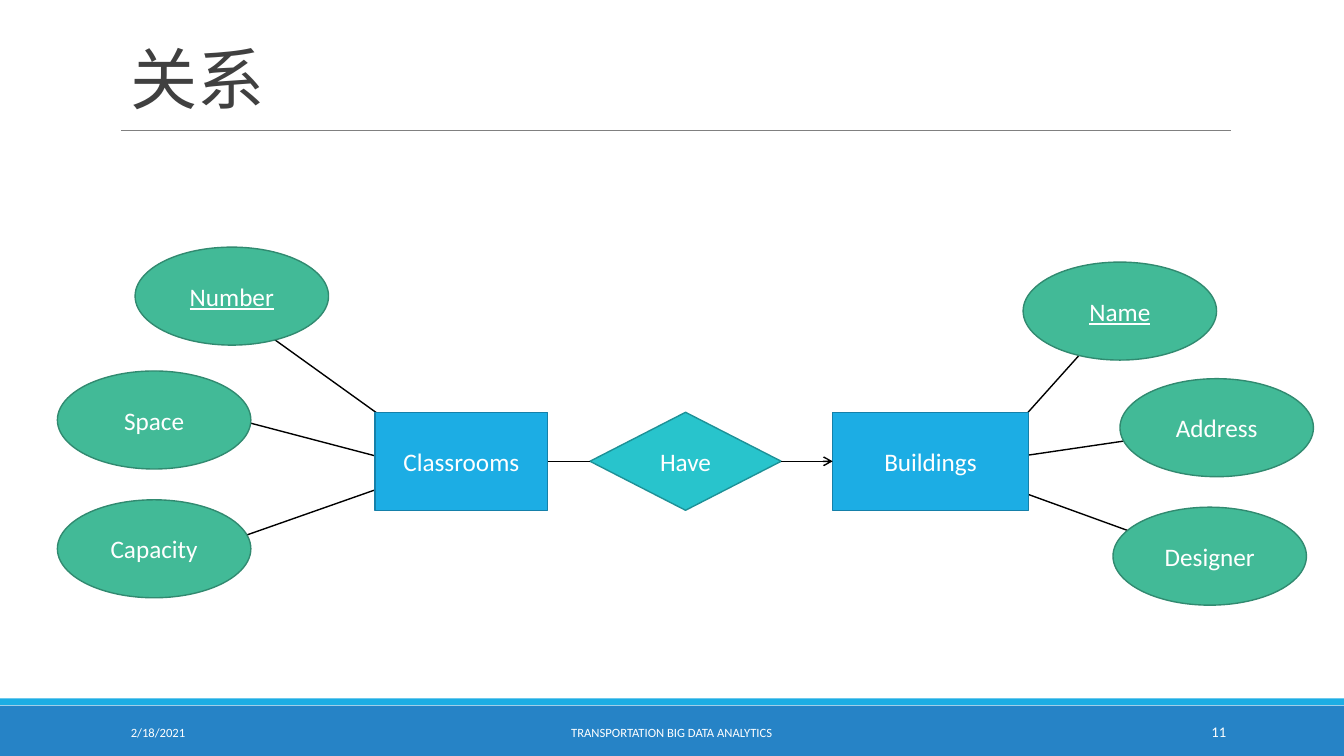
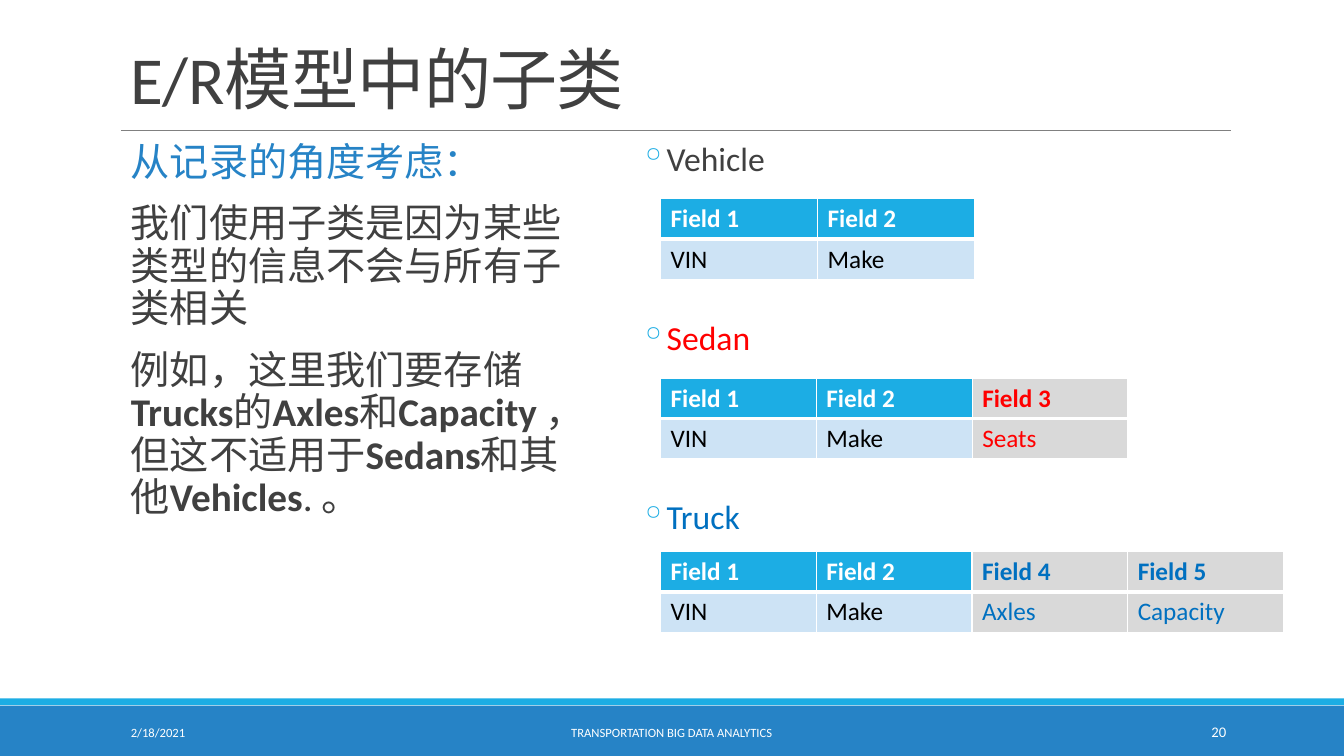
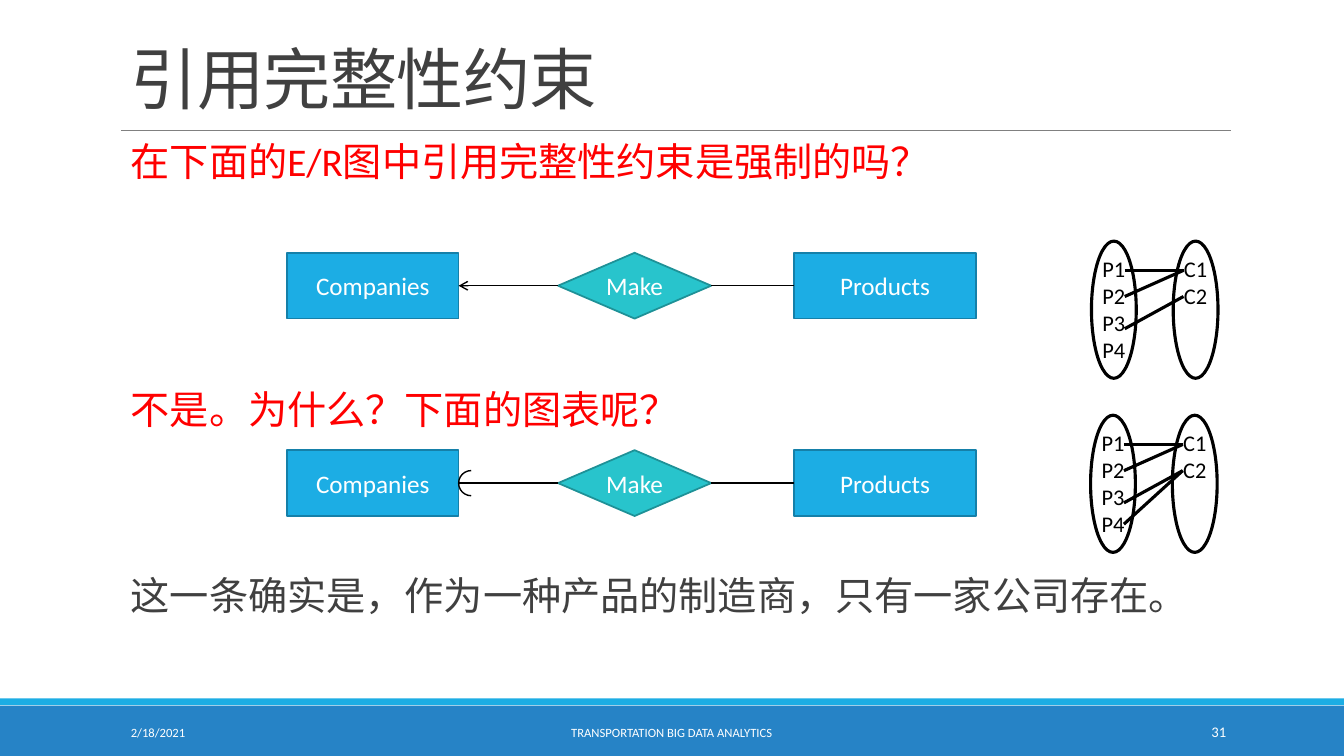
"""Build three lecture slides on entity-relationship modelling."""
from dataclasses import dataclass

from lxml.etree import SubElement
from pptx import Presentation
from pptx.dml.color import RGBColor
from pptx.enum.lang import MSO_LANGUAGE_ID
from pptx.enum.shapes import MSO_CONNECTOR, MSO_SHAPE
from pptx.enum.text import MSO_ANCHOR, PP_ALIGN
from pptx.oxml.ns import qn
from pptx.shapes.autoshape import Shape
from pptx.shapes.connector import Connector
from pptx.slide import Slide
from pptx.table import _Cell as Cell
from pptx.text.text import TextFrame, _Paragraph as Paragraph
from pptx.util import Pt

FONT = "Calibri"
WHITE = RGBColor(0xFF, 0xFF, 0xFF)
BLACK = RGBColor(0x00, 0x00, 0x00)
INK = RGBColor(0x40, 0x40, 0x40)
RULE_GREY = RGBColor(0x80, 0x80, 0x80)
BAND_BLUE = RGBColor(0x26, 0x83, 0xC6)
SKY = RGBColor(0x1C, 0xAD, 0xE4)
SKY_EDGE = RGBColor(0x15, 0x80, 0xA9)
TEAL = RGBColor(0x28, 0xC4, 0xCC)
TEAL_EDGE = RGBColor(0x1E, 0x91, 0x97)
GREEN = RGBColor(0x42, 0xBA, 0x97)
GREEN_EDGE = RGBColor(0x31, 0x8A, 0x70)
RED = RGBColor(0xFF, 0x00, 0x00)
BLUE = RGBColor(0x00, 0x70, 0xC0)
CELL_BLUE = RGBColor(0xCD, 0xE3, 0xF5)
CELL_GREY = RGBColor(0xD9, 0xD9, 0xD9)

LEFT_SIDE, RIGHT_SIDE = 1, 3
Point = tuple[float, float]


@dataclass(frozen=True)
class Area:
    """Hold a rectangle in points."""
    left: float
    top: float
    width: float
    height: float

    def lengths(self) -> tuple[Pt, Pt, Pt, Pt]:
        """Return the four lengths in slide units."""
        return Pt(self.left), Pt(self.top), Pt(self.width), Pt(self.height)


@dataclass(frozen=True)
class Span:
    """Hold one run of text and its look."""
    text: str
    size: float
    color: RGBColor
    bold: bool = False
    underline: bool = False


@dataclass(frozen=True)
class Look:
    """Hold the outline and colours of a diagram node."""
    preset: MSO_SHAPE
    fill: RGBColor
    edge: RGBColor


@dataclass(frozen=True)
class Attribute:
    """Hold an attribute oval and the line to its entity."""
    label: str
    left: float
    top: float
    start: Point
    end: Point
    key: bool = False


@dataclass(frozen=True)
class Record:
    """Hold a vehicle class and its table of fields."""
    name: str
    top: float
    width: float
    fields: tuple[tuple[str, str], ...]
    accent: RGBColor


ENTITY = Look(MSO_SHAPE.RECTANGLE, SKY, SKY_EDGE)
RELATION = Look(MSO_SHAPE.DIAMOND, TEAL, TEAL_EDGE)
DECISION = Look(MSO_SHAPE.FLOWCHART_DECISION, TEAL, TEAL_EDGE)
OVAL = Look(MSO_SHAPE.OVAL, GREEN, GREEN_EDGE)

ATTRIBUTES = (
    Attribute("Number", 96.5, 176.5, (174.2, 226.8), (294.5, 313.2), key=True),
    Attribute("Space", 41, 265, (174.2, 301), (286.6, 330.5)),
    Attribute("Capacity", 41, 357, (136.8, 396), (294.5, 340.6)),
    Attribute("Name", 730.8, 187.2, (789.8, 232.6), (709.9, 321.8), key=True),
    Attribute("Address", 800, 270.5, (844.6, 308.9), (712.8, 328.3)),
    Attribute("Designer", 795, 362.3, (836, 390), (705.6, 342.7)),
)

SHARED_FIELDS = (("Field 1", "VIN"), ("Field 2", "Make"))
RECORDS = (
    Record("Vehicle", 142, 224.5, SHARED_FIELDS, INK),
    Record("Sedan", 270, 334, SHARED_FIELDS + (("Field 3", "Seats"),), RED),
    Record("Truck", 394, 445,
           SHARED_FIELDS + (("Field 4", "Axles"), ("Field 5", "Capacity")), BLUE),
)

MEMBER_HEIGHTS = (20.9, 39.6, 62.6, 77.8)


def add_spans(para: Paragraph, spans: list[Span]) -> None:
    """Add the spans to a paragraph run by run."""
    for span in spans:
        run = para.add_run()
        run.text = span.text
        run.font.name = FONT
        run.font.size = Pt(span.size)
        run.font.bold = span.bold
        run.font.underline = span.underline
        run.font.color.rgb = span.color
        if not span.text.isascii():
            run.font.language_id = MSO_LANGUAGE_ID.CHINESE_SINGAPORE


def next_paragraph(frame: TextFrame) -> Paragraph:
    """Return the first paragraph while it is empty, or a new one."""
    first = frame.paragraphs[0]
    return frame.add_paragraph() if first.runs else first


def add_text(page: Slide, area: Area, paragraphs: list[list[Span]],
             align: PP_ALIGN = PP_ALIGN.LEFT, anchor: MSO_ANCHOR = MSO_ANCHOR.TOP,
             spacing: float = 1.0, gaps: tuple[float, ...] = (),
             side_insets: Point = (7.2, 7.2), inset: float = 3.6) -> TextFrame:
    """Add a wrapped text box whose gaps stand between its paragraphs."""
    frame = page.shapes.add_textbox(*area.lengths()).text_frame
    frame.word_wrap = True
    frame.vertical_anchor = anchor
    frame.margin_left, frame.margin_right = map(Pt, side_insets)
    frame.margin_top = frame.margin_bottom = Pt(inset)
    for index, spans in enumerate(paragraphs):
        para = next_paragraph(frame)
        para.alignment = align
        para.line_spacing = spacing
        if index and gaps:
            para.space_before = Pt(gaps[index - 1])
        add_spans(para, spans)
    return frame


def add_plain(page: Slide, preset: MSO_SHAPE, area: Area, fill: RGBColor | None,
              edge: RGBColor | None = None, weight: float = 1) -> Shape:
    """Add a preset shape without shadow."""
    shape = page.shapes.add_shape(preset, *area.lengths())
    shape.shadow.inherit = False
    if fill is None:
        shape.fill.background()
    else:
        shape.fill.solid()
        shape.fill.fore_color.rgb = fill
    if edge is None:
        shape.line.fill.background()
    else:
        shape.line.color.rgb = edge
        shape.line.width = Pt(weight)
    return shape


def add_node(page: Slide, look: Look, area: Area, label: str,
             weight: float = 1, underline: bool = False) -> Shape:
    """Add a labelled diagram node."""
    node = add_plain(page, look.preset, area, look.fill, look.edge, weight)
    frame = node.text_frame
    frame.word_wrap = False
    frame.vertical_anchor = MSO_ANCHOR.MIDDLE
    frame.paragraphs[0].alignment = PP_ALIGN.CENTER
    add_spans(frame.paragraphs[0], [Span(label, 18, WHITE, underline=underline)])
    return node


def add_line(page: Slide, start: Point, end: Point, color: RGBColor = BLACK,
             weight: float = 1, arrow: bool = False) -> Connector:
    """Add a straight line, with an open arrow at its end if asked."""
    line = page.shapes.add_connector(
        MSO_CONNECTOR.STRAIGHT, *map(Pt, (*start, *end)))
    line.line.color.rgb = color
    line.line.width = Pt(weight)
    if arrow:
        SubElement(line.line._get_or_add_ln(), qn("a:tailEnd"), type="arrow")
    SubElement(line._element.spPr, qn("a:effectLst"))
    return line


def join(page: Slide, first: Shape, first_side: int, second: Shape,
         second_side: int, arrow: bool = False) -> None:
    """Join two nodes at the middle of their sides."""
    line = add_line(page, (0, 0), (0, 0), arrow=arrow)
    line.begin_connect(first, first_side)
    line.end_connect(second, second_side)


def add_page(deck: Presentation, title: str, number: int) -> Slide:
    """Add a slide with the common bands, title and footer."""
    page = deck.slides.add_slide(deck.slide_layouts[6])
    add_plain(page, MSO_SHAPE.RECTANGLE, Area(0, 504, 960, 36), BAND_BLUE)
    add_plain(page, MSO_SHAPE.RECTANGLE, Area(0, 498.8, 960, 5), SKY)
    add_line(page, (86.4, 93), (879, 93), RULE_GREY, 0.5)
    frame = add_text(page, Area(86.4, 9.4, 792, 78.5), [[Span(title, 48, INK)]],
                     anchor=MSO_ANCHOR.BOTTOM, spacing=0.85)
    for run in frame.paragraphs[0].runs:
        run._r.get_or_add_rPr().set("spc", "-50")
    footers = (
        (86.4, 194.4, "2/18/2021", 9, PP_ALIGN.LEFT),
        (290, 379.5, "TRANSPORTATION BIG DATA ANALYTICS", 9, PP_ALIGN.CENTER),
        (780, 103, str(number), 10.5, PP_ALIGN.RIGHT),
    )
    for left, width, text, size, align in footers:
        add_text(page, Area(left, 508.5, width, 28.8), [[Span(text, size, WHITE)]],
                 align, MSO_ANCHOR.MIDDLE)
    return page


def add_relationship_page(deck: Presentation) -> None:
    """Draw the classroom and building diagram."""
    page = add_page(deck, "关系", 11)
    for item in ATTRIBUTES:
        add_line(page, item.start, item.end)
    for item in ATTRIBUTES:
        add_node(page, OVAL, Area(item.left, item.top, 138.2, 70), item.label,
                 underline=item.key)
    classrooms, have, buildings = (
        add_node(page, look, Area(left, 294.5, width, 70), label)
        for look, left, width, label in (
            (ENTITY, 267.8, 123.5, "Classrooms"),
            (DECISION, 421.4, 136.6, "Have"),
            (ENTITY, 594.8, 139.8, "Buildings")))
    join(page, classrooms, RIGHT_SIDE, have, LEFT_SIDE)
    join(page, have, RIGHT_SIDE, buildings, LEFT_SIDE, arrow=True)


def style_cell(cell: Cell, span: Span, fill: RGBColor, header: bool) -> None:
    """Set the text, white borders and fill of a table cell."""
    weights = {"L": 1, "R": 1, "T": 1 if header else 3, "B": 3 if header else 1}
    properties = cell._tc.get_or_add_tcPr()
    for side, weight in weights.items():
        border = SubElement(properties, qn(f"a:ln{side}"), w=str(Pt(weight)))
        paint = SubElement(border, qn("a:solidFill"))
        SubElement(paint, qn("a:srgbClr"), val=str(WHITE))
    cell.fill.solid()
    cell.fill.fore_color.rgb = fill
    add_spans(cell.text_frame.paragraphs[0], [span])


def add_record_table(page: Slide, record: Record) -> None:
    """Add the field table of a record, its own fields in grey."""
    area = Area(471.8, record.top, record.width, 57.6)
    table = page.shapes.add_table(2, len(record.fields), *area.lengths()).table
    for column, pair in enumerate(record.fields):
        own = column >= len(SHARED_FIELDS)
        for row, text in enumerate(pair):
            header = row == 0
            color = record.accent if own else WHITE if header else BLACK
            fill = CELL_GREY if own else SKY if header else CELL_BLUE
            style_cell(table.cell(row, column), Span(text, 18, color, header),
                       fill, header)


def add_bullet(para: Paragraph) -> None:
    """Give a paragraph a hanging ring bullet."""
    properties = para._p.get_or_add_pPr()
    properties.set("marL", str(Pt(30.2)))
    properties.set("indent", str(Pt(-14.4)))
    color = SubElement(properties, qn("a:buClr"))
    SubElement(color, qn("a:srgbClr"), val=str(SKY))
    SubElement(properties, qn("a:buChar"), char="◦")


def add_subclass_page(deck: Presentation) -> None:
    """Set the subclass text beside the record tables."""
    page = add_page(deck, "E/R模型中的子类", 20)
    example = ("例如，这里我们要存储", "Trucks", "的", "Axles", "和", "Capacity ",
               "，但这不适用于", "Sedans", "和其他", "Vehicles", ". 。")
    add_text(page, Area(86.4, 98, 338.4, 398), [
        [Span("从记录的角度考虑：", 28, BAND_BLUE)],
        [Span("我们使用子类是因为某些类型的信息不会与所有子类相关", 28, INK)],
        [Span(text, 28, INK, bold=index % 2 == 1)
         for index, text in enumerate(example)],
    ], spacing=0.9, gaps=(14, 14), side_insets=(7.2, 0))
    names = add_text(page, Area(441.4, 98, 338.4, 398),
                     [[Span(record.name, 24, record.accent)] for record in RECORDS],
                     spacing=0.9, gaps=(102, 102), side_insets=(0, 0))
    for para in names.paragraphs:
        add_bullet(para)
    for record in RECORDS:
        add_record_table(page, record)


def add_maker_row(page: Slide, top: float, mandatory: bool) -> None:
    """Draw one company and product diagram, with a round end if mandatory."""
    height = 47
    companies, make, products = (
        add_node(page, look, Area(left, top, width, height), label, 1.25)
        for look, left, width, label in (
            (ENTITY, 205, 122.6, "Companies"),
            (RELATION, 398.6, 109.4, "Make"),
            (ENTITY, 567.2, 130, "Products")))
    join(page, make, LEFT_SIDE, companies, RIGHT_SIDE, arrow=not mandatory)
    join(page, make, RIGHT_SIDE, products, LEFT_SIDE)
    if mandatory:
        size = 18
        area = Area(327.6, top + (height - size) / 2, size, size)
        arc = add_plain(page, MSO_SHAPE.ARC, area, None, BLACK)
        arc.adjustments[0], arc.adjustments[1] = 54, 162


def add_mapping(page: Slide, left: float, top: float,
                links: tuple[tuple[int, int], ...]) -> None:
    """Draw the product and company sets with their links."""
    sets = ((left, ("P1", "P2", "P3", "P4")), (left + 58.4, ("C1", "C2")))
    for set_left, members in sets:
        add_plain(page, MSO_SHAPE.OVAL, Area(set_left, top, 32, 98), None, BLACK, 2.25)
        add_text(page, Area(set_left, top + 10, 32, 19.5 * len(members)),
                 [[Span(member, 16, BLACK)] for member in members],
                 PP_ALIGN.CENTER, side_insets=(0, 0), inset=0)
    for product, company in links:
        add_line(page, (left + 23.8, top + MEMBER_HEIGHTS[product]),
                 (left + 65.8, top + MEMBER_HEIGHTS[company]), weight=2.25)


def add_integrity_page(deck: Presentation) -> None:
    """Compare optional and mandatory references."""
    page = add_page(deck, "引用完整性约束", 31)
    add_text(page, Area(86.4, 98, 792, 398), [
        [Span("在下面的E/R图中引用完整性约束是强制的吗？", 28, RED)],
        [Span("不是。为什么？下面的图表呢？", 28, RED)],
        [Span("这一条确实是，作为一种产品的制造商，只有一家公司存在。", 28, INK)],
    ], spacing=0.9, gaps=(147.2, 102.6), side_insets=(7.2, 0))
    add_maker_row(page, 180.6, mandatory=False)
    add_maker_row(page, 321.6, mandatory=True)
    links = ((0, 0), (1, 0), (2, 1))
    add_mapping(page, 779.6, 172.2, links)
    add_mapping(page, 779, 296.6, links + ((3, 1),))


def main() -> None:
    """Build and save the deck."""
    deck = Presentation()
    deck.slide_width, deck.slide_height = Pt(960), Pt(540)
    add_relationship_page(deck)
    add_subclass_page(deck)
    add_integrity_page(deck)
    deck.save("out.pptx")


if __name__ == "__main__":
    main()
